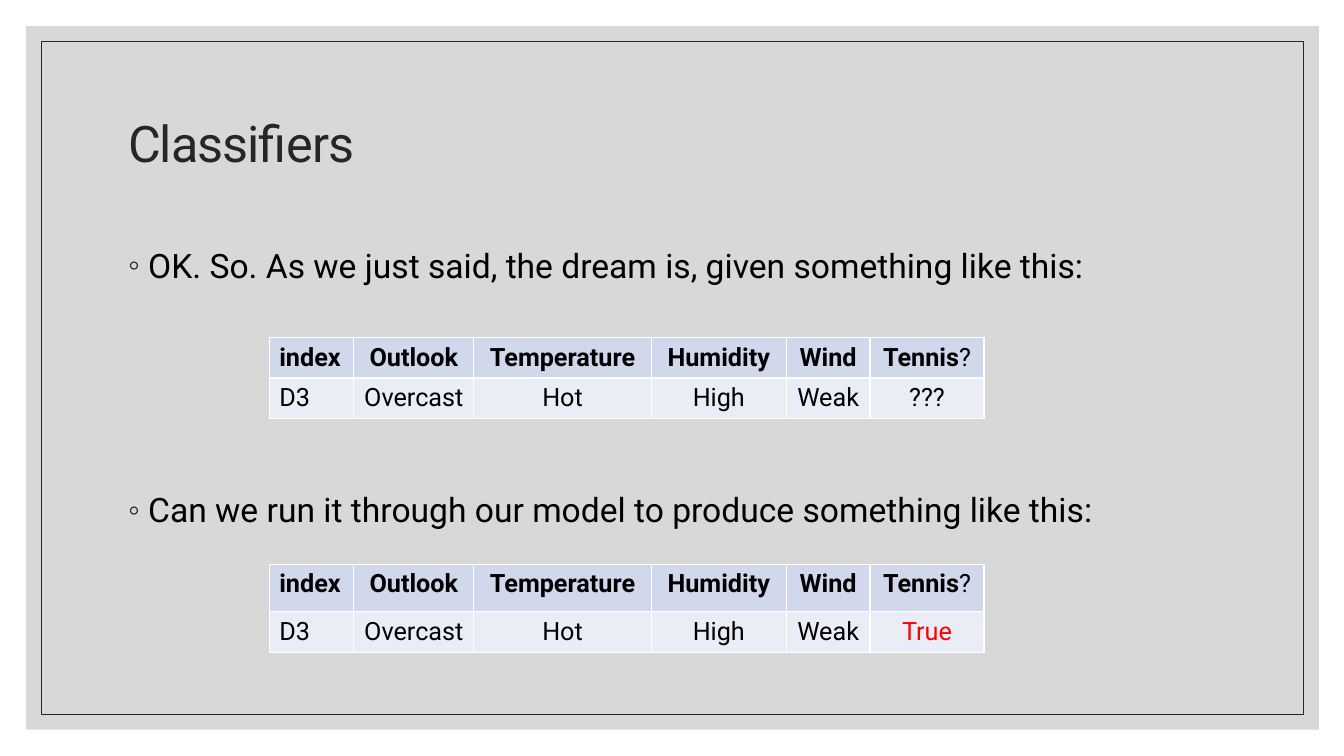
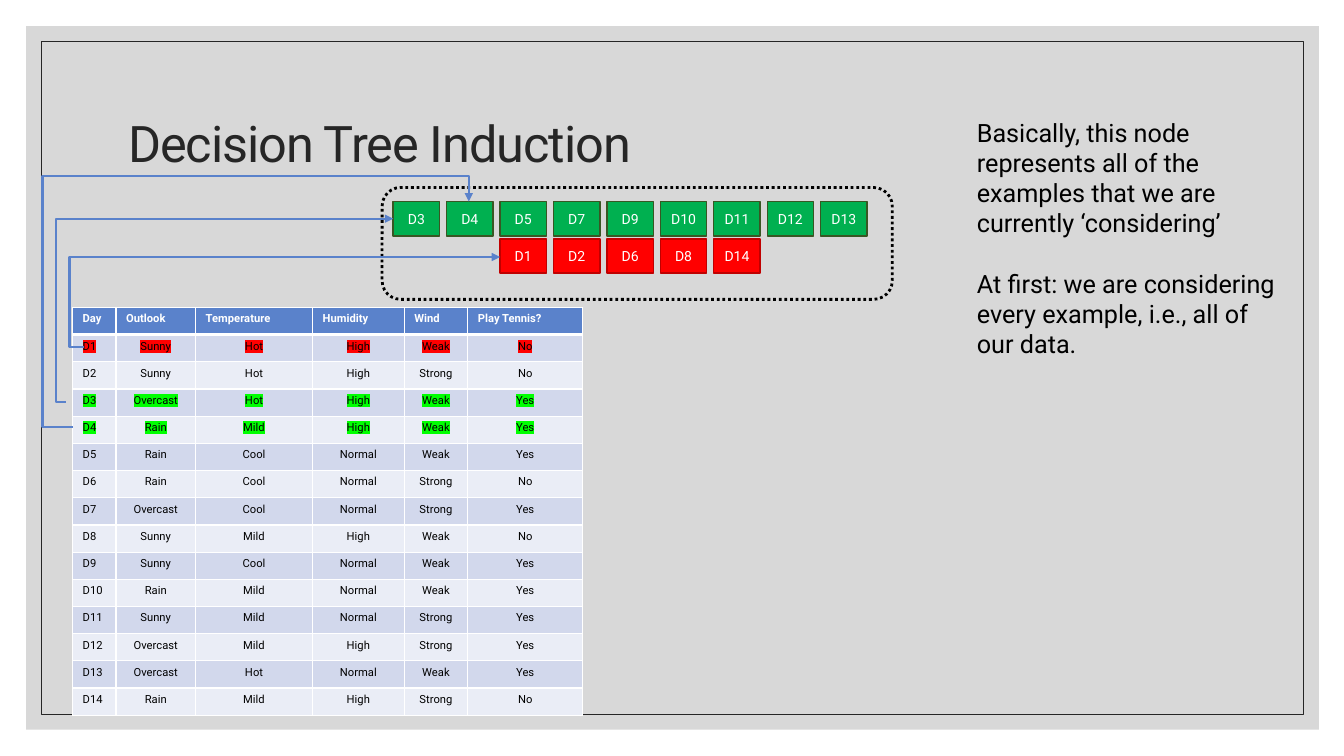
from pptx import Presentation
from pptx.dml.color import RGBColor
from pptx.enum.dml import MSO_LINE
from pptx.enum.shapes import MSO_CONNECTOR, MSO_SHAPE
from pptx.enum.text import MSO_ANCHOR, MSO_AUTO_SIZE, PP_ALIGN
from pptx.oxml import parse_xml
from pptx.oxml.ns import nsdecls, qn
from pptx.util import Inches, Pt

FONT = "Roboto"
BLACK = RGBColor(0x00, 0x00, 0x00)
WHITE = RGBColor(0xFF, 0xFF, 0xFF)
INK = RGBColor(0x26, 0x26, 0x26)
GREY = RGBColor(0xBF, 0xBF, 0xBF)
BLUE = RGBColor(0x5A, 0x82, 0xCB)
PALE_BLUE = RGBColor(0xD2, 0xD8, 0xEC)
PALER_BLUE = RGBColor(0xEA, 0xED, 0xF6)
RED = RGBColor(0xFF, 0x00, 0x00)
DARK_RED = RGBColor(0xC0, 0x00, 0x00)
GREEN = RGBColor(0x00, 0xB0, 0x50)
DARK_GREEN = RGBColor(0x38, 0x57, 0x23)
LIME = RGBColor(0x00, 0xFF, 0x00)


def set_font(paragraph, size, color):
    paragraph.font.name = FONT
    paragraph.font.size = Pt(size)
    paragraph.font.color.rgb = color


def add_data_table(slide, left, top, widths, heights, rows, size, header):
    """Add a banded table; header holds its fill, text colour, alignment and rule width."""
    header_fill, header_color, header_align, header_rule = header
    frame = slide.shapes.add_table(
        len(rows), len(widths), Inches(left), Inches(top),
        Inches(sum(widths)), Inches(sum(heights)))
    table = frame.table
    for column, width in zip(table.columns, widths):
        column.width = Inches(width)
    for r, (values, height) in enumerate(zip(rows, heights)):
        table.rows[r].height = Inches(height)
        for c, value in enumerate(values):
            cell = table.cell(r, c)
            for edge in ("lnL", "lnR", "lnT", "lnB"):
                below_header = (r, edge) in ((0, "lnB"), (1, "lnT"))
                width = Pt(header_rule if below_header else 1)
                cell._tc.get_or_add_tcPr().append(parse_xml(
                    f'<a:{edge} {nsdecls("a")} w="{width}"><a:solidFill>'
                    f'<a:srgbClr val="{WHITE}"/></a:solidFill></a:{edge}>'))
            cell.fill.solid()
            banding = PALE_BLUE if r % 2 else PALER_BLUE
            cell.fill.fore_color.rgb = header_fill if r == 0 else banding
            cell.text = value
            paragraph = cell.text_frame.paragraphs[0]
            if c > 0:
                paragraph.alignment = header_align if r == 0 else PP_ALIGN.CENTER
            set_font(paragraph, size, header_color if r == 0 else BLACK)
            paragraph.font.bold = r == 0
    return table


presentation = Presentation()
presentation.slide_width = Inches(13.33)
presentation.slide_height = Inches(7.5)
layouts = presentation.slide_layouts

classifiers = presentation.slides.add_slide(layouts.get_by_name("Title and Content"))
induction = presentation.slides.add_slide(layouts.get_by_name("Title Only"))

# Panel and frame, moved to the master so that both slides share them
panel = classifiers.shapes.add_shape(
    MSO_SHAPE.RECTANGLE, Inches(0.26), Inches(0.26), Inches(12.82), Inches(6.98))
panel.fill.solid()
panel.fill.fore_color.rgb = GREY
panel_color = panel.element.spPr.find(qn("a:solidFill")).find(qn("a:srgbClr"))
panel_color.append(parse_xml(f'<a:alpha {nsdecls("a")} val="60000"/>'))
panel.line.fill.background()
frame = classifiers.shapes.add_shape(
    MSO_SHAPE.RECTANGLE, Inches(0.41), Inches(0.41), Inches(12.52), Inches(6.68))
frame.fill.background()
frame.line.color.rgb = INK
frame.line.width = Pt(0.5)
master_tree = presentation.slide_master.element.cSld.spTree
for position, shape in enumerate((panel, frame), start=2):
    shape.shadow.inherit = False
    master_tree.insert(position, shape.element)

# Titles
for slide, text in ((classifiers, "Classifiers"), (induction, "Decision Tree Induction")):
    title = slide.shapes.title
    title.left, title.top = Inches(1.17), Inches(0.7)
    title.width, title.height = Inches(11), Inches(1.5)
    title.text = text
    title.text_frame.vertical_anchor = MSO_ANCHOR.MIDDLE
    title.text_frame.auto_size = MSO_AUTO_SIZE.NONE
    paragraph = title.text_frame.paragraphs[0]
    paragraph.alignment = PP_ALIGN.LEFT
    paragraph.line_spacing = 0.9
    set_font(paragraph, 36, INK)
    paragraph.runs[0]._r.get_or_add_rPr().set("spc", "-70")

# Slide 1: bullets, each above a one-row table
body = classifiers.placeholders[1]
body.left, body.top = Inches(1.17), Inches(2.3)
body.width, body.height = Inches(11), Inches(4.5)
body.text_frame.auto_size = MSO_AUTO_SIZE.NONE
body.text = ("OK. So. As we just said, the dream is, given something like this:\n"
             "Can we run it through our model to produce something like this:")
for paragraph, space_before in zip(body.text_frame.paragraphs, (0, 140)):
    properties = paragraph._p.get_or_add_pPr()
    properties.set("marL", str(Inches(0.2)))
    properties.set("indent", str(Inches(-0.2)))
    properties.append(parse_xml(
        f'<a:buClr {nsdecls("a")}><a:srgbClr val="{INK}"/></a:buClr>'))
    properties.append(parse_xml(f'<a:buChar {nsdecls("a")} char="◦"/>'))
    paragraph.line_spacing = 1.2
    paragraph.space_before = Pt(space_before)
    set_font(paragraph, 24, BLACK)

example_widths = (0.84, 1.19, 1.76, 1.34, 0.83, 1.13)
for top, header_height, answer, answer_color in (
        (3.35, 0.4, "???", BLACK), (5.6, 0.47, "True", RED)):
    table = add_data_table(
        classifiers, 2.67, top, example_widths, (header_height, 0.4),
        [("index", "Outlook", "Temperature", "Humidity", "Wind", "Tennis"),
         ("D3", "Overcast", "Hot", "High", "Weak", answer)],
        18, (PALE_BLUE, BLACK, PP_ALIGN.CENTER, 1))
    question_mark = table.cell(0, 5).text_frame.paragraphs[0].add_run()
    question_mark.text = "?"
    question_mark.font.bold = False
    table.cell(1, 5).text_frame.paragraphs[0].font.color.rgb = answer_color
    for c in range(6):
        table.cell(1, c).fill.fore_color.rgb = PALER_BLUE

# Slide 2: the node with its examples
example_rows = (
    (3.9, 2, GREEN, DARK_GREEN, (3, 4, 5, 7, 9, 10, 11, 12, 13)),
    (4.96, 2.37, RED, DARK_RED, (1, 2, 6, 8, 14)),
)
for left, top, fill, outline, days in example_rows:
    for i, day in enumerate(days):
        box = induction.shapes.add_shape(
            MSO_SHAPE.RECTANGLE, Inches(left + 0.53 * i), Inches(top),
            Inches(0.46), Inches(0.34))
        box.shadow.inherit = False
        box.fill.solid()
        box.fill.fore_color.rgb = fill
        box.line.color.rgb = outline
        box.line.width = Pt(1)
        box.text_frame.word_wrap = False
        box.text_frame.vertical_anchor = MSO_ANCHOR.MIDDLE
        box.text_frame.text = f"D{day}"
        paragraph = box.text_frame.paragraphs[0]
        paragraph.alignment = PP_ALIGN.CENTER
        set_font(paragraph, 10, WHITE)

node = induction.shapes.add_shape(
    MSO_SHAPE.ROUNDED_RECTANGLE, Inches(3.79), Inches(1.86), Inches(5.06), Inches(1.11))
node.shadow.inherit = False
node.fill.background()
node.line.color.rgb = BLACK
node.line.width = Pt(2)
node.line.dash_style = MSO_LINE.ROUND_DOT

note = induction.shapes.add_textbox(Inches(9.59), Inches(1.11), Inches(3.18), Inches(2.52))
note.text_frame.word_wrap = True
note.text_frame.text = (
    "Basically, this node represents all of the examples that we are currently ‘considering’\n"
    "At first: we are considering every example, i.e., all of our data.")
for paragraph, space_before in zip(note.text_frame.paragraphs, (0, 21.5)):
    paragraph.space_before = Pt(space_before)
    set_font(paragraph, 18, BLACK)

tennis_days = [
    ("Day", "Outlook", "Temperature", "Humidity", "Wind", "Play Tennis?"),
    ("D1", "Sunny", "Hot", "High", "Weak", "No"),
    ("D2", "Sunny", "Hot", "High", "Strong", "No"),
    ("D3", "Overcast", "Hot", "High", "Weak", "Yes"),
    ("D4", "Rain", "Mild", "High", "Weak", "Yes"),
    ("D5", "Rain", "Cool", "Normal", "Weak", "Yes"),
    ("D6", "Rain", "Cool", "Normal", "Strong", "No"),
    ("D7", "Overcast", "Cool", "Normal", "Strong", "Yes"),
    ("D8", "Sunny", "Mild", "High", "Weak", "No"),
    ("D9", "Sunny", "Cool", "Normal", "Weak", "Yes"),
    ("D10", "Rain", "Mild", "Normal", "Weak", "Yes"),
    ("D11", "Sunny", "Mild", "Normal", "Strong", "Yes"),
    ("D12", "Overcast", "Mild", "High", "Strong", "Yes"),
    ("D13", "Overcast", "Hot", "Normal", "Weak", "Yes"),
    ("D14", "Rain", "Mild", "High", "Strong", "No"),
]
table = add_data_table(
    induction, 0.72, 3.05, (0.43, 0.79, 1.16, 0.91, 0.63, 1.14),
    [0.27] * len(tennis_days), tennis_days, 8, (BLUE, WHITE, PP_ALIGN.LEFT, 3))
for r, color in ((1, RED), (3, LIME), (4, LIME)):
    for cell in table.rows[r].cells:
        run = cell.text_frame.paragraphs[0].runs[0]
        run._r.get_or_add_rPr().append(parse_xml(
            f'<a:highlight {nsdecls("a")}><a:srgbClr val="{color}"/></a:highlight>'))

# Elbow arrows from table rows D1, D3 and D4 to their boxes
for start_x, start_y, end_x, end_y, preset, adjustments in (
        (0.83, 3.44, 4.96, 2.55, "bentConnector3", (-3400,)),
        (0.65, 3.99, 3.9, 2.17, "bentConnector3", (-3000,)),
        (0.72, 4.24, 4.65, 2, "bentConnector4", (-7600, 111200))):
    arrow = induction.shapes.add_connector(
        MSO_CONNECTOR.ELBOW, Inches(start_x), Inches(start_y), Inches(end_x), Inches(end_y))
    arrow.line.color.rgb = BLUE
    arrow.line.width = Pt(1.5)
    arrow.line._get_or_add_ln().append(parse_xml(
        f'<a:tailEnd {nsdecls("a")} type="triangle"/>'))
    properties = arrow.element.spPr
    properties.append(parse_xml(f'<a:effectLst {nsdecls("a")}/>'))
    geometry = properties.find(qn("a:prstGeom"))
    geometry.set("prst", preset)
    guides = geometry.find(qn("a:avLst"))
    for number, value in enumerate(adjustments, start=1):
        guides.append(parse_xml(
            f'<a:gd {nsdecls("a")} name="adj{number}" fmla="val {value}"/>'))

presentation.save("out.pptx")
